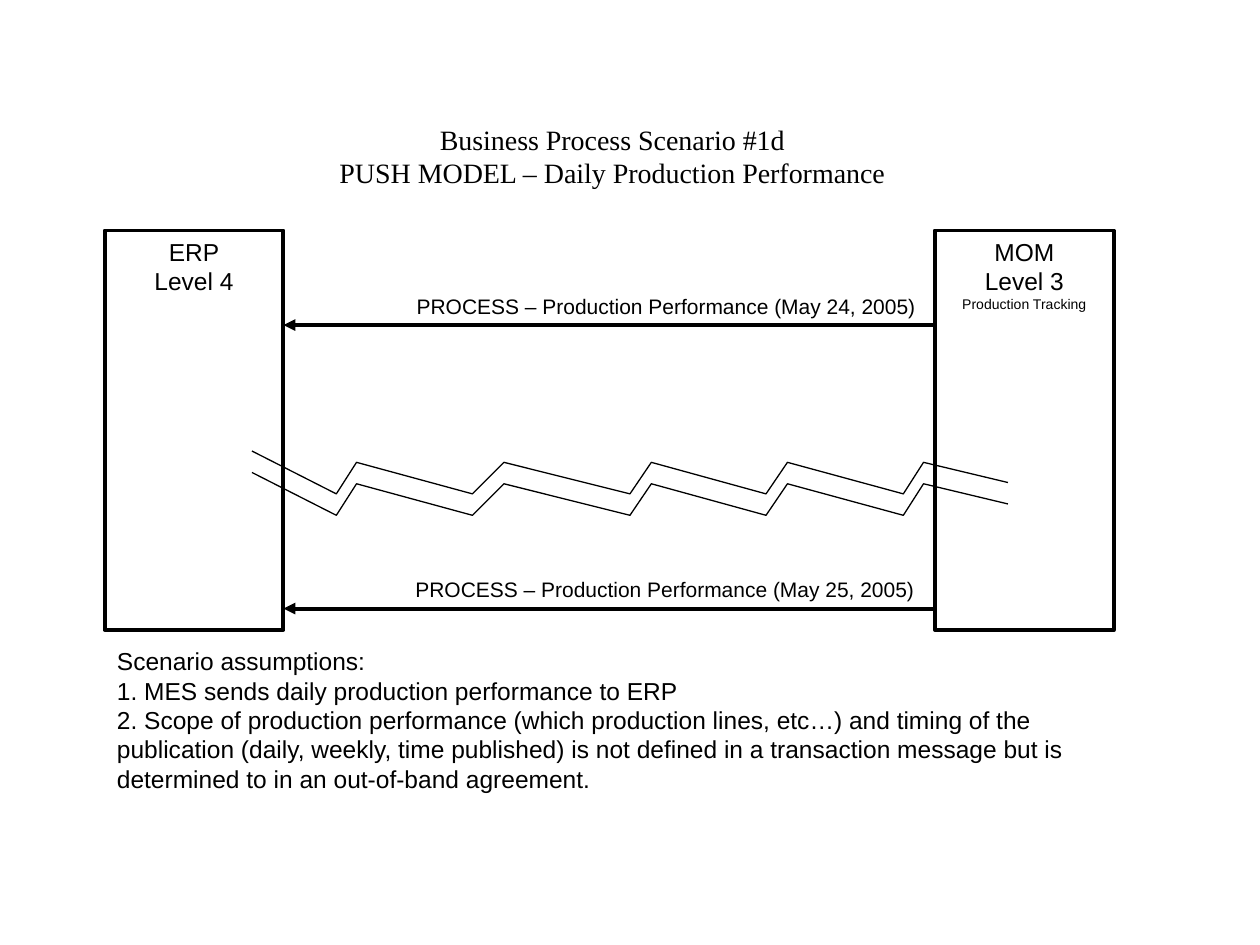
from lxml import etree
from pptx import Presentation
from pptx.dml.color import RGBColor
from pptx.enum.shapes import MSO_CONNECTOR as Connector, MSO_SHAPE as Preset
from pptx.enum.text import MSO_ANCHOR as Anchor, MSO_AUTO_SIZE as AutoSize, PP_ALIGN as Align
from pptx.oxml.ns import qn
from pptx.util import Inches, Pt

COLORS = {"ink": "000000", "paper": "FFFFFF"}
SANS, SERIF = "Arial", "Times New Roman"


class ScenarioSlide:
    """Holds the diagram style and the slide being drawn."""

    def __init__(self, slide):
        self.slide = slide
        self.shapes = slide.shapes

    def color(self, name):
        return RGBColor.from_string(COLORS[name])

    def outline(self, shape, width):
        shape.line.color.rgb = self.color("ink")
        shape.line.width = Pt(width)

    def fill_text(self, shape, lines, align, font=SANS, wrap=True):
        frame = shape.text_frame
        frame.word_wrap = wrap
        frame.auto_size = AutoSize.NONE
        frame.vertical_anchor = Anchor.TOP
        frame.margin_left = frame.margin_right = Inches(0.1)
        frame.margin_top = frame.margin_bottom = Inches(0.05)
        for index, (text, size) in enumerate(lines):
            para = frame.add_paragraph() if index else frame.paragraphs[0]
            para.alignment = align
            span = para.add_run()
            span.text = text
            span.font.name = font
            span.font.size = Pt(size)
            span.font.color.rgb = self.color("ink")

    def title(self, left, top, width, height, lines):
        title = self.shapes.title
        title.left, title.top = Inches(left), Inches(top)
        title.width, title.height = Inches(width), Inches(height)
        self.fill_text(title, lines, Align.CENTER, SERIF, wrap=False)

    def label(self, left, top, width, height, lines, align, wrap=True):
        box = self.shapes.add_textbox(Inches(left), Inches(top), Inches(width), Inches(height))
        self.fill_text(box, lines, align, wrap=wrap)

    def system(self, left, top, width, height, lines):
        box = self.shapes.add_shape(
            Preset.RECTANGLE, Inches(left), Inches(top), Inches(width), Inches(height))
        box.shadow.inherit = False
        box.fill.solid()
        box.fill.fore_color.rgb = self.color("paper")
        self.outline(box, 2.25)
        self.fill_text(box, lines, Align.CENTER)

    def arrow(self, tip, tail, y):
        arrow = self.shapes.add_connector(
            Connector.STRAIGHT, Inches(tip), Inches(y), Inches(tail), Inches(y))
        self.outline(arrow, 2.25)
        properties = arrow._element.spPr
        etree.SubElement(properties.find(qn("a:ln")), qn("a:headEnd"), type="triangle")
        etree.SubElement(properties, qn("a:effectLst"))

    def zigzag(self, points, drop):
        start, *rest = [(Inches(x), Inches(y + drop)) for x, y in points]
        builder = self.shapes.build_freeform(*start)
        builder.add_line_segments(rest, close=False)
        line = builder.convert_to_shape()
        line.shadow.inherit = False
        line.fill.background()
        self.outline(line, 0.75)


def main():
    deck = Presentation()
    deck.slide_width, deck.slide_height = Inches(10), Inches(7.5)
    page = ScenarioSlide(deck.slides.add_slide(deck.slide_layouts[5]))

    page.title(2.59, 0.92, 4.54, 0.64, [
        ("Business Process Scenario #1d", 16),
        ("PUSH MODEL – Daily Production Performance", 16),
    ])

    page.system(0.83, 1.83, 1.42, 3.17, [("ERP", 14), ("Level 4", 14)])
    page.system(7.42, 1.83, 1.42, 3.17,
                [("MOM", 14), ("Level 3", 14), ("Production Tracking", 8)])

    for day, left, y in [(24, 3.21, 2.58), (25, 3.2, 4.83)]:
        page.arrow(2.25, 7.42, y)
        message = f"PROCESS – Production Performance (May {day}, 2005)"
        page.label(left, y - 0.3, 4.16, 0.3, [(message, 12)], Align.RIGHT, wrap=False)

    page.label(0.83, 5.08, 8, 1.27, [
        ("Scenario assumptions:", 14),
        ("1. MES sends daily production performance to ERP", 14),
        ("2. Scope of production performance (which production lines, etc…) and timing of the "
         "publication (daily, weekly, time published) is not defined in a transaction message "
         "but is determined to in an out-of-band agreement.", 14),
    ], Align.LEFT)

    low, high = 3.92, 3.67
    teeth = [(2.67, 2.83), (3.75, 4), (5, 5.17), (6.08, 6.25), (7.17, 7.33)]
    break_line = [(2, 3.58)]
    for valley, peak in teeth:
        break_line += [(valley, low), (peak, high)]
    break_line.append((8, 3.83))
    for drop in (0, 0.17):
        page.zigzag(break_line, drop)

    deck.save("out.pptx")


if __name__ == "__main__":
    main()
